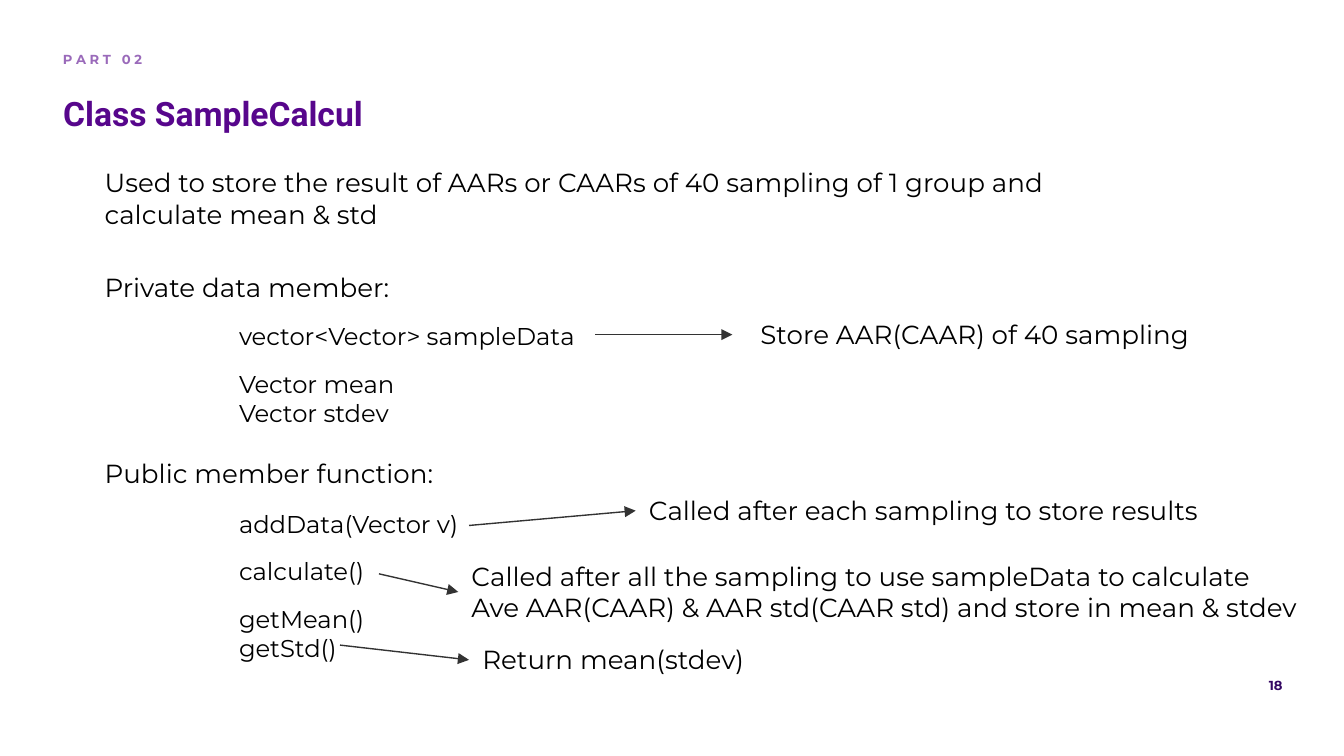
from lxml.etree import SubElement
from pptx import Presentation
from pptx.dml.color import RGBColor
from pptx.enum.shapes import MSO_CONNECTOR
from pptx.enum.text import MSO_ANCHOR, MSO_AUTO_SIZE, PP_ALIGN
from pptx.oxml.ns import qn
from pptx.util import Inches, Pt

PURPLE = RGBColor(0x57, 0x06, 0x8C)
LILAC = RGBColor(0x9A, 0x6A, 0xBA)
DARK_PURPLE = RGBColor(0x33, 0x06, 0x62)
BLACK = RGBColor(0, 0, 0)
ARROW_GREY = RGBColor(0x33, 0x33, 0x33)

BODY_LEFT = 0.68
LEFT_SIDE = 1


def write(paragraph, text, size=14, font="Montserrat", color=BLACK, bold=False,
          align=PP_ALIGN.LEFT, before=0, indent=0):
    paragraph.alignment = align
    paragraph.space_before = Pt(before)
    if indent:
        properties = paragraph._p.get_or_add_pPr()
        properties.set("marL", str(Inches(indent)))
        properties.set("indent", "0")
    run = paragraph.add_run()
    run.text = text
    run.font.size = Pt(size)
    run.font.name = font
    run.font.bold = bold
    run.font.color.rgb = color


def prepare_frame(shape, anchor=MSO_ANCHOR.TOP):
    frame = shape.text_frame
    frame.word_wrap = True
    frame.auto_size = MSO_AUTO_SIZE.NONE
    frame.vertical_anchor = anchor
    frame.margin_left = frame.margin_right = Inches(0.1)
    frame.margin_top = frame.margin_bottom = Inches(0.1)
    return frame


def add_text(slide, box, text, **text_format):
    label = slide.shapes.add_textbox(*map(Inches, box))
    write(prepare_frame(label).paragraphs[0], text, **text_format)
    return label


def add_title(slide, box, text):
    title = slide.shapes.title
    title.left, title.top, title.width, title.height = map(Inches, box)
    frame = prepare_frame(title, MSO_ANCHOR.BOTTOM)
    write(frame.paragraphs[0], text, size=18, font="Roboto", color=PURPLE, bold=True)


def add_members(slide, box, heading, groups, heading_gap=10):
    """Lists class members under a heading, with a gap before each group."""
    members = add_text(slide, box, heading)
    gap = heading_gap
    for group in groups:
        for member in group:
            write(members.text_frame.add_paragraph(), member, size=13, indent=1,
                  before=gap)
            gap = 0
        gap = 10


def add_arrow(slide, start, end):
    arrow = slide.shapes.add_connector(
        MSO_CONNECTOR.STRAIGHT, *map(Inches, (*start, *end)))
    arrow.line.color.rgb = ARROW_GREY
    arrow.line.width = Pt(0.75)
    SubElement(arrow.line._get_or_add_ln(), qn("a:tailEnd"), type="triangle")
    SubElement(arrow._element.spPr, qn("a:effectLst"))
    return arrow


def add_explanation(slide, box, text, arrow_start, gap=0):
    """Explains a member; its arrow stops at the box, or a gap before it."""
    left, top, _, height = box
    explanation = add_text(slide, box, text)
    arrow = add_arrow(slide, arrow_start, (left - gap, top + height / 2))
    if not gap:
        arrow.end_connect(explanation, LEFT_SIDE)


def build_class_slide(presentation):
    slide = presentation.slides.add_slide(presentation.slide_layouts[5])
    add_text(slide, (0.37, 0.28, 2.66, 0.34), " ".join("PART 02"), size=7,
             color=LILAC, bold=True)
    add_title(slide, (0.37, 0.67, 7.16, 0.42), "Class SampleCalcul")
    add_text(slide, (BODY_LEFT, 1.14, 7.73, 0.67),
             "Used to store the result of AARs or CAARs of 40 sampling of "
             "1 group and calculate mean & std")

    add_members(slide, (BODY_LEFT, 1.92, 3.91, 1.63), "Private data member:",
                [["vector<Vector> sampleData"], ["Vector mean", "Vector stdev"]])
    add_members(slide, (BODY_LEFT, 3.3, 4.15, 1.75), "Public member function:",
                [["addData(Vector v)"], ["calculate()"], ["getMean()", "getStd()"]],
                heading_gap=11)

    explanations = [
        ((5.56, 2.27, 3.83, 0.44), "Store AAR(CAAR) of 40 sampling", (4.43, 2.49), 0.11),
        ((4.73, 3.58, 4.66, 0.44), "Called after each sampling to store results",
         (3.49, 3.91), 0),
        ((3.41, 4.07, 6.37, 0.67),
         "Called after all the sampling to use sampleData to calculate "
         "Ave AAR(CAAR) & AAR std(CAAR std) and store in mean & stdev",
         (2.82, 4.27), 0),
        ((3.49, 4.69, 3.66, 0.44), "Return mean(stdev)", (2.53, 4.8), 0),
    ]
    for explanation in explanations:
        add_explanation(slide, *explanation)

    add_text(slide, (5.05, 4.94, 4.59, 0.34), "18", size=7, color=DARK_PURPLE,
             bold=True, align=PP_ALIGN.RIGHT)


def main():
    presentation = Presentation()
    presentation.slide_width = Inches(10)
    presentation.slide_height = presentation.slide_width * 9 // 16
    build_class_slide(presentation)
    presentation.save("out.pptx")


if __name__ == "__main__":
    main()
